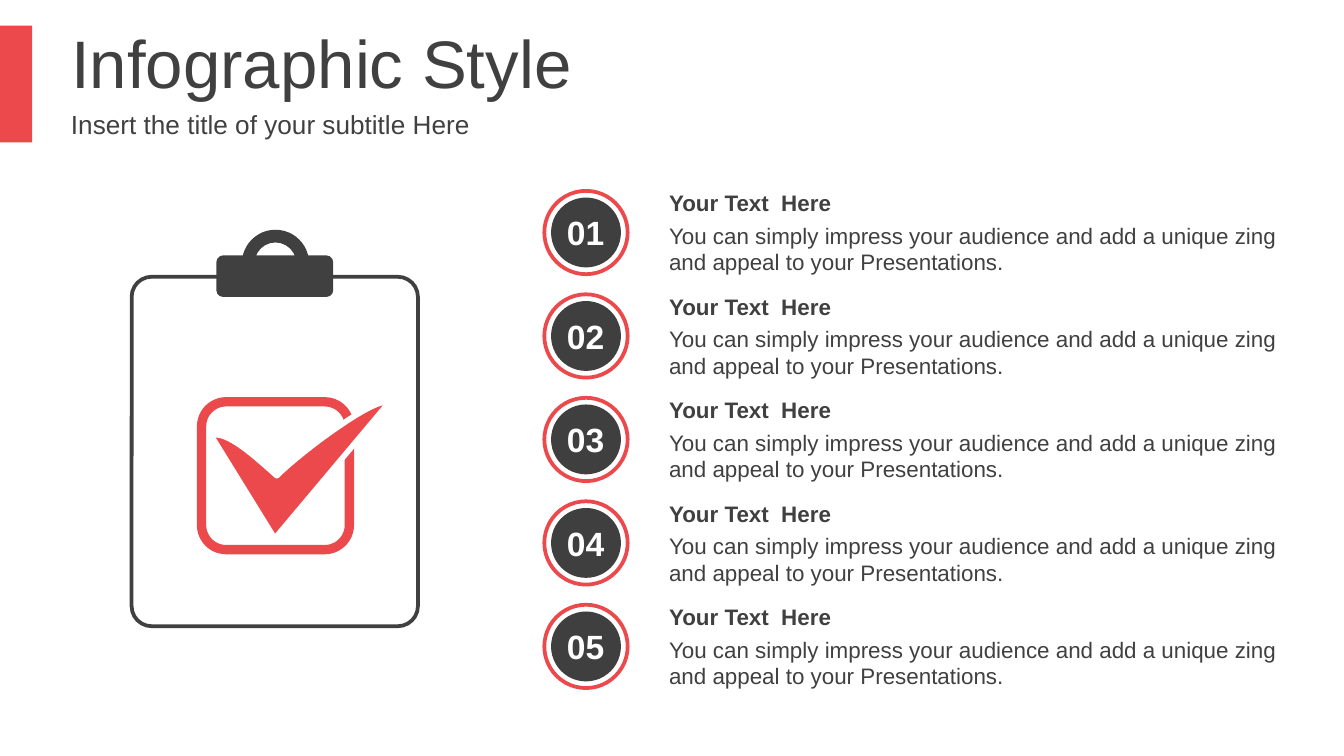
from dataclasses import dataclass

import pptx
import pptx.dml.color
import pptx.enum.shapes
import pptx.enum.text
import pptx.util
from pptx.util import Inches

SHAPE = pptx.enum.shapes.MSO_SHAPE
ALIGN = pptx.enum.text.PP_ALIGN
AUTO_SIZE = pptx.enum.text.MSO_AUTO_SIZE


@dataclass(frozen=True)
class Theme:
    accent: str = "EB494B"
    dark: str = "404040"
    badge: str = "3F3F3F"
    white: str = "FFFFFF"
    font: str = "Arial"
    title_size: int = 36
    subtitle_size: int = 14
    number_size: int = 18
    body_size: int = 12


THEME = Theme()
ROW_COUNT = 5
ROW_TOP = 1.42
ROW_PITCH = 0.77
HEADING = "Your Text  Here"
BODY = ("You can simply impress your audience and add a unique zing "
        "and appeal to your Presentations.")


def rgb(color):
    return pptx.dml.color.RGBColor.from_string(color)


def paint(shape, fill, line=None, width=0):
    """Give a shape a flat fill and an optional outline."""
    shape.shadow.inherit = False
    shape.fill.solid()
    shape.fill.fore_color.rgb = rgb(fill)
    if line:
        shape.line.color.rgb = rgb(line)
        shape.line.width = pptx.util.Pt(width)
    else:
        shape.line.fill.background()


def add_preset(shapes, kind, box, fill, line=None, width=0, adjustments=()):
    shape = shapes.add_shape(kind, *map(Inches, box))
    for index, value in enumerate(adjustments):
        shape.adjustments[index] = value
    paint(shape, fill, line, width)


def write(shape, text, size, color=THEME.dark, bold=False, align=ALIGN.LEFT,
          wrap=True, auto_size=AUTO_SIZE.NONE):
    frame = shape.text_frame
    frame.word_wrap = wrap
    frame.auto_size = auto_size
    frame.vertical_anchor = pptx.enum.text.MSO_ANCHOR.MIDDLE
    paragraph = frame.paragraphs[0]
    paragraph.alignment = align
    run = paragraph.add_run()
    run.text = text
    run.font.name = THEME.font
    run.font.size = pptx.util.Pt(size)
    run.font.bold = bold
    run.font.color.rgb = rgb(color)


def add_text(shapes, box, text, size, **style):
    write(shapes.add_textbox(*map(Inches, box)), text, size, **style)


def curve(start, control_1, control_2, end, steps=16):
    """Points along a cubic curve, without its start."""
    points = []
    for step in range(1, steps + 1):
        t = step / steps
        weights = ((1 - t) ** 3, 3 * t * (1 - t) ** 2, 3 * t ** 2 * (1 - t), t ** 3)
        corners = (start, control_1, control_2, end)
        points.append(tuple(sum(weight * corner[axis]
                                for weight, corner in zip(weights, corners))
                            for axis in (0, 1)))
    return points


def add_header(slide):
    add_preset(slide.shapes, SHAPE.RECTANGLE, (0, 0.19, 0.24, 0.87), THEME.accent)
    title = slide.shapes.title
    title.left, title.top = Inches(0.43), Inches(0.14)
    title.width, title.height = Inches(7.64), Inches(0.63)
    write(title, "Infographic Style", THEME.title_size)
    add_text(slide.shapes, (0.43, 0.77, 7.64, 0.31),
             "Insert the title of your subtitle Here", THEME.subtitle_size)


def add_clipboard(slide):
    shapes = slide.shapes.add_group_shape().shapes
    add_preset(shapes, SHAPE.ROUNDED_RECTANGLE, (0.98, 2.06, 2.13, 2.6),
               THEME.white, THEME.dark, 2, [0.07])
    add_preset(shapes, SHAPE.ROUNDED_RECTANGLE, (1.61, 1.9, 0.87, 0.31), THEME.dark)
    add_preset(shapes, SHAPE.BLOCK_ARC, (1.8, 1.71, 0.5, 0.5), THEME.dark,
               adjustments=[108, 213.89, 0.19])


def add_checkbox(slide):
    shapes = slide.shapes.add_group_shape().shapes
    add_preset(shapes, SHAPE.ROUNDED_RECTANGLE, (1.5, 2.99, 1.1, 1.1),
               THEME.white, THEME.accent, 5)
    # Check mark
    notch, tip, left_end = (2.06, 3.54), (2.89, 3), (1.57, 3.24)
    outline = curve(notch, (2.25, 3.35), (2.82, 2.93), tip)
    outline += [(2.05, 4), (2.04, 4), left_end]
    outline += curve(left_end, (1.69, 3.2), (1.9, 3.4), notch)
    builder = shapes.build_freeform(*map(Inches, notch))
    builder.add_line_segments([(Inches(x), Inches(y)) for x, y in outline], close=True)
    paint(builder.convert_to_shape(), THEME.accent, THEME.white, 3)


def add_row(slide, number, top):
    # Numbered badge
    shapes = slide.shapes.add_group_shape().shapes
    add_preset(shapes, SHAPE.OVAL, (4.05, top, 0.62, 0.62),
               THEME.white, THEME.accent, 2)
    add_preset(shapes, SHAPE.OVAL, (4.1, top + 0.05, 0.52, 0.52), THEME.badge)
    add_text(shapes, (4.12, top + 0.11, 0.48, 0.4), f"{number:02}",
             THEME.number_size, color=THEME.white, bold=True,
             wrap=False, auto_size=AUTO_SIZE.SHAPE_TO_FIT_TEXT)
    # Description and heading
    shapes = slide.shapes.add_group_shape().shapes
    add_text(shapes, (4.88, top + 0.18, 4.8, 0.5), BODY, THEME.body_size,
             auto_size=AUTO_SIZE.SHAPE_TO_FIT_TEXT)
    add_text(shapes, (4.88, top - 0.06, 4.8, 0.3), HEADING, THEME.body_size,
             bold=True, auto_size=AUTO_SIZE.SHAPE_TO_FIT_TEXT)


def main():
    presentation = pptx.Presentation()
    # Widescreen, 16:9
    presentation.slide_width = Inches(10)
    presentation.slide_height = presentation.slide_width * 9 // 16
    slide = presentation.slides.add_slide(presentation.slide_layouts[5])
    add_header(slide)
    add_clipboard(slide)
    add_checkbox(slide)
    for index in range(ROW_COUNT):
        add_row(slide, index + 1, ROW_TOP + index * ROW_PITCH)
    presentation.save("out.pptx")


if __name__ == "__main__":
    main()
